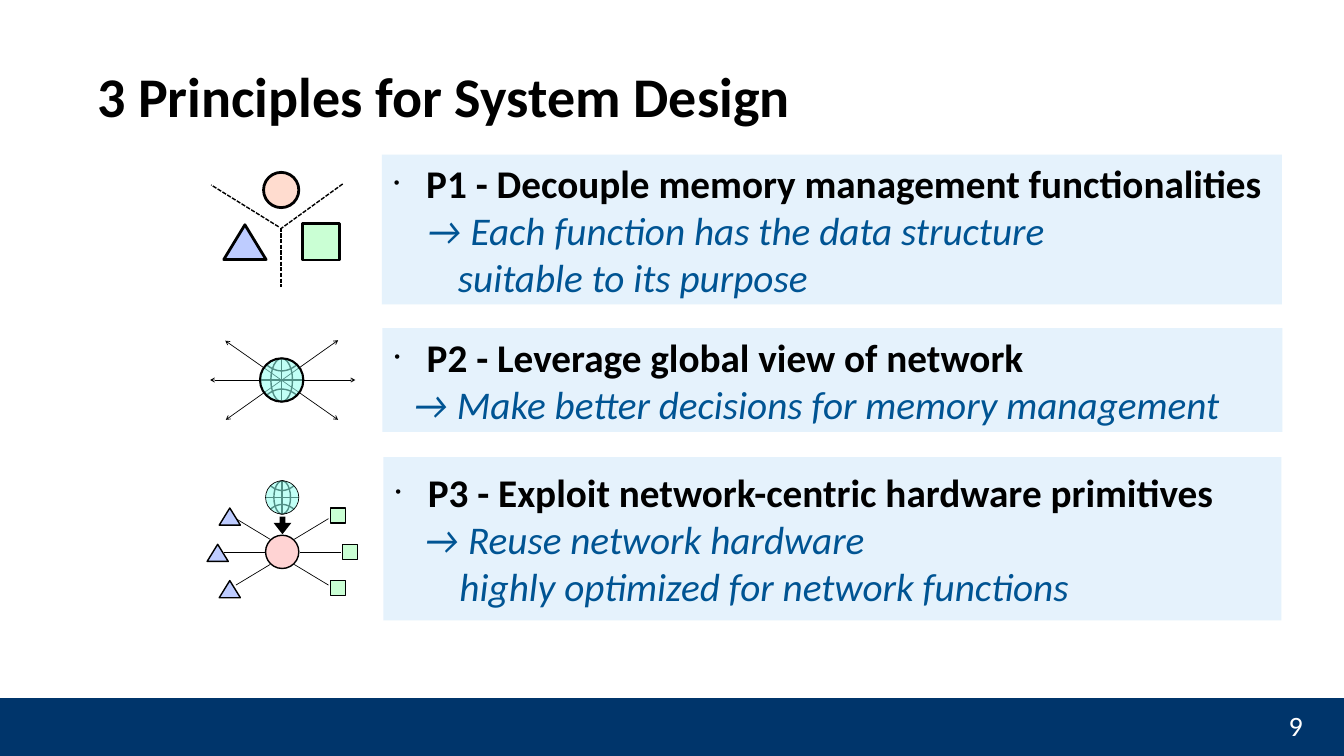
"""Build a slide listing three system design principles, each beside a small diagram."""
from lxml import etree
from pptx import Presentation
from pptx.dml.color import RGBColor
from pptx.enum.dml import MSO_LINE
from pptx.enum.shapes import MSO_CONNECTOR, MSO_SHAPE as SHAPE
from pptx.enum.text import MSO_ANCHOR as ANCHOR, PP_ALIGN as ALIGN
from pptx.oxml.ns import qn
from pptx.util import Inches, Pt

TITLE = "3 Principles for System Design"
PAGE = "9"
PRINCIPLES = [
    dict(box=(7.58, 3.07, 17.86, 2.97), margin=1.41, first=0.78,
         head="P1 - Decouple memory management functionalities",
         body="→ Each function has the data structure\vsuitable to its purpose"),
    dict(box=(7.59, 6.51, 17.86, 2.06), margin=0.5, first=0.5,
         head="P2 - Leverage global view of network",
         body="→ Make better decisions for memory management"),
    dict(box=(7.61, 9.07, 17.82, 3.24), margin=1.41, first=0.7,
         head="P3 - Exploit network-centric hardware primitives",
         body="→ Reuse network hardware\vhighly optimized for network functions"),
]
DIVIDERS = [((5.53, 4.5), (4.19, 3.67)), ((6.8, 3.65), (5.57, 4.54)), ((5.58, 4.52), (5.58, 5.69))]
VIEW_RAYS = [((6.71, 8.33), (4.47, 6.76)), ((7.05, 7.54), (4.17, 7.54)), ((6.71, 6.75), (4.48, 8.33))]
HUB = (5.6, 10.95)
SPOKES = [(0.24, 0.92, -1), (0.35, 1.16, 0), (0.24, 0.92, 1)]
NAVY, PALE, TEXT_BLUE, BLACK, WHITE = "00356B", "E5F2FC", "005493", "000000", "FFFFFF"
BLUE, GREEN, PEACH, PINK, AQUA = "BECCFF", "CAFFD4", "FFDCCF", "FFB1B2", "92FFF0"


def color(value):
    return RGBColor.from_string(value)


def add_shape(shapes, kind, box, fill=None, line=None, width=1, alpha=None):
    sp = shapes.add_shape(kind, *map(Inches, box))
    style(sp, fill, line, width)
    if alpha:
        clr = sp.fill._xPr.find(qn("a:solidFill"))[0]
        etree.SubElement(clr, qn("a:alpha"), val=str(alpha * 1000))
    return sp


def style(sp, fill, line, width):
    sp.shadow.inherit = False
    if fill:
        sp.fill.solid()
        sp.fill.fore_color.rgb = color(fill)
    else:
        sp.fill.background()
    if line:
        sp.line.color.rgb = color(line)
        sp.line.width = Pt(width)
    else:
        sp.line.fill.background()


def centered(x, y, w, h):
    return x - w / 2, y - h / 2, w, h


def add_line(shapes, start, end, width=1, dash=None, arrows=False):
    cx = shapes.add_connector(MSO_CONNECTOR.STRAIGHT, *map(Inches, start + end))
    cx.line.color.rgb = color(BLACK)
    cx.line.width = Pt(width)
    if dash:
        cx.line.dash_style = dash
    if arrows:
        for tag in ("a:headEnd", "a:tailEnd"):
            etree.SubElement(cx.line._get_or_add_ln(), qn(tag), type="arrow")
    etree.SubElement(cx._element.spPr, qn("a:effectLst"))


def add_globe(shapes, x, y, r, outline):
    add_line(shapes, (x, y - r), (x, y + r), 2)
    add_line(shapes, (x - r, y), (x + r, y), 2)
    add_shape(shapes, SHAPE.OVAL, centered(x, y, r, 2 * r), line=BLACK, width=2)
    for side in (-1, 1):
        points = [(Inches(x + r * t / 10), Inches(y + side * r * (0.42 + 0.28 * (t / 7) ** 2)))
                  for t in range(-7, 8)]
        fb = shapes.build_freeform(*points[0], scale=1.0)
        fb.add_line_segments(points[1:], close=False)
        style(fb.convert_to_shape(), None, BLACK, 2)
    add_shape(shapes, SHAPE.OVAL, centered(x, y, 2 * r, 2 * r), AQUA, BLACK, outline, alpha=56)


def write(p, text, size=56, fill=BLACK, bold=False, italic=False, align=ALIGN.LEFT):
    p.alignment = align
    p.text = text
    for r in p.runs:
        r.font.name, r.font.size = "Calibri", Pt(size)
        r.font.bold, r.font.italic = bold, italic
        r.font.color.rgb = color(fill)


def set_frame(sp, wrap=True):
    tf = sp.text_frame
    tf.word_wrap = wrap
    tf.vertical_anchor = ANCHOR.MIDDLE
    tf.margin_left = tf.margin_right = tf.margin_top = tf.margin_bottom = Inches(0.1)
    return tf


def set_indent(p, margin, indent):
    pPr = p._p.get_or_add_pPr()
    pPr.set("marL", str(Inches(margin)))
    pPr.set("indent", str(Inches(indent)))
    return pPr


def add_principle(shapes, box, margin, first, head, body):
    tf = set_frame(add_shape(shapes, SHAPE.RECTANGLE, box, PALE))
    p = tf.paragraphs[0]
    pPr = set_indent(p, 0.78, -0.64)
    etree.SubElement(pPr, qn("a:buSzPct"), val="42000")
    etree.SubElement(pPr, qn("a:buFont"), typeface="Arial")
    etree.SubElement(pPr, qn("a:buChar"), char="•")
    write(p, head, bold=True)
    p = tf.add_paragraph()
    set_indent(p, margin, first - margin)
    write(p, body, fill=TEXT_BLUE, italic=True)


def draw_decoupling(shapes):
    add_shape(shapes, SHAPE.OVAL, (5.23, 3.42, 0.7, 0.7), PEACH, BLACK, 4)
    add_shape(shapes, SHAPE.ISOSCELES_TRIANGLE, (4.44, 4.46, 0.84, 0.69), BLUE, BLACK, 4)
    add_shape(shapes, SHAPE.RECTANGLE, (6.01, 4.43, 0.73, 0.73), GREEN, BLACK, 4)
    for start, end in DIVIDERS:
        add_line(shapes, start, end, 2, dash=MSO_LINE.SQUARE_DOT)


def draw_global_view(shapes):
    for start, end in VIEW_RAYS:
        add_line(shapes, start, end, arrows=True)
    add_globe(shapes, 5.59, 7.54, 0.43, 3)


def draw_hardware(shapes):
    x, y = HUB
    for near, far, row in SPOKES:
        for side in (-1, 1):
            add_line(shapes, (x + side * near, y + row * 0.25), (x + side * far, y + row * 0.66))
        reach = 1.11 if row else 1.35
        add_shape(shapes, SHAPE.ISOSCELES_TRIANGLE,
                  centered(x - reach + 0.07, y + row * 0.72 + 0.02, 0.42, 0.34), BLUE, BLACK, 2)
        add_shape(shapes, SHAPE.RECTANGLE,
                  centered(x + reach, y + row * 0.72, 0.3, 0.3), GREEN, BLACK, 2)
    add_shape(shapes, SHAPE.OVAL, centered(x, y, 0.66, 0.66), PINK, BLACK, 2, alpha=56)
    arrow = add_shape(shapes, SHAPE.DOWN_ARROW, (5.43, 10.25, 0.35, 0.35), BLACK)
    arrow.adjustments[0], arrow.adjustments[1] = 0.32, 0.64
    add_globe(shapes, x, 9.87, 0.33, 1)


def main():
    prs = Presentation()
    prs.slide_width, prs.slide_height = Inches(26.67), Inches(15)
    s = prs.slides.add_slide(prs.slide_layouts[6])
    add_shape(s.shapes, SHAPE.RECTANGLE, (-0.12, 13.86, 26.87, 1.17), NAVY, NAVY, 2)
    tf = set_frame(s.shapes.add_textbox(*map(Inches, (1.83, 0.8, 23, 2.33))))
    tf.paragraphs[0].line_spacing = 0.9
    write(tf.paragraphs[0], TITLE, 80, bold=True)
    tf = set_frame(s.shapes.add_textbox(*map(Inches, (25.45, 14.02, 0.5, 0.76))), wrap=False)
    write(tf.paragraphs[0], PAGE, 40, WHITE, align=ALIGN.RIGHT)
    for principle in PRINCIPLES:
        add_principle(s.shapes, **principle)
    for draw in (draw_decoupling, draw_global_view, draw_hardware):
        draw(s.shapes.add_group_shape().shapes)
    prs.save("out.pptx")


if __name__ == "__main__":
    main()
